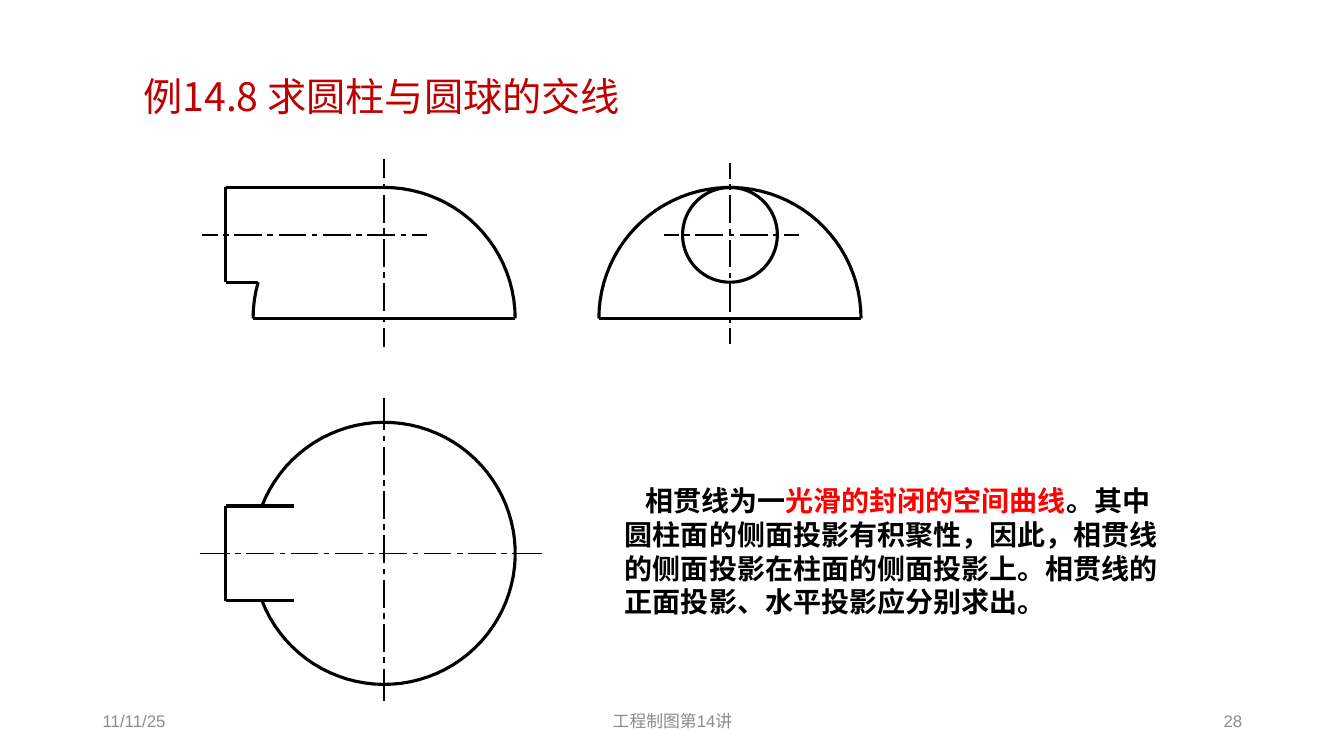
from math import asin, cos, degrees, radians, sin, sqrt

from lxml.etree import SubElement
from pptx import Presentation
from pptx.dml.color import RGBColor
from pptx.enum.shapes import MSO_CONNECTOR as Connector, MSO_SHAPE as Shape
from pptx.enum.text import MSO_ANCHOR as Anchor, PP_ALIGN as Align
from pptx.oxml.ns import qn
from pptx.util import Inches, Pt

BLACK = RGBColor(0x00, 0x00, 0x00)
RED = RGBColor(0xFF, 0x00, 0x00)
DARK_RED = RGBColor(0xC0, 0x00, 0x00)
GRAY = RGBColor(0x8C, 0x8C, 0x8C)
CJK_FONT = "Noto Sans CJK SC"
OUTLINE, THIN = Pt(2.25), Pt(1)

AXIS_X, SIDE_X = 3.81, 7.24
BASE_Y, PLAN_Y, BORE_Y = 3.16, 5.49, 2.33
SPHERE_R, BORE_R = 1.3, 0.47
CYLINDER_LEFT = 2.24
GAP, DOT, DASH = 0.055, 0.055, 0.275
PERIOD = DASH + DOT + 2 * GAP


def add_line(page, start, end, width=OUTLINE):
    line = page.shapes.add_connector(
        Connector.STRAIGHT, *(Inches(value) for value in (*start, *end)))
    line.line.color.rgb = BLACK
    line.line.width = width
    SubElement(line._element.spPr, qn("a:effectLst"))


def add_centre_line(page, start, end, dots):
    length = abs(end[0] - start[0]) + abs(end[1] - start[1])
    first = (length - dots * PERIOD + DASH) / 2
    pieces, left = [], 0
    for index in range(dots):
        dot = first + GAP + index * PERIOD
        pieces += [(left, dot - GAP), (dot, dot + DOT)]
        left = dot + DOT + GAP
    pieces.append((left, length))

    def point(distance):
        return [a + (b - a) * distance / length for a, b in zip(start, end)]

    for begin, finish in pieces:
        add_line(page, point(begin), point(finish), THIN)


def style_outline(shape):
    shape.fill.background()
    shape.line.color.rgb = BLACK
    shape.line.width = OUTLINE
    shape.shadow.inherit = False


def add_arc(page, centre, first_angle, last_angle):
    steps = max(4, round(abs(last_angle - first_angle) / 4))
    angles = [radians(first_angle + (last_angle - first_angle) * step / steps)
              for step in range(steps + 1)]
    points = [(Inches(centre[0] + SPHERE_R * cos(angle)),
               Inches(centre[1] - SPHERE_R * sin(angle))) for angle in angles]
    builder = page.shapes.build_freeform(*points[0])
    builder.add_line_segments(points[1:], close=False)
    style_outline(builder.convert_to_shape())


def add_circle(page, centre, radius):
    style_outline(page.shapes.add_shape(
        Shape.OVAL, Inches(centre[0] - radius), Inches(centre[1] - radius),
        Inches(2 * radius), Inches(2 * radius)))


def format_span(span, size, font, color, bold=False):
    span.font.size = Pt(size)
    span.font.name = font
    span.font.bold = bold
    span.font.color.rgb = color
    east_asian = CJK_FONT if font == "Arial" else font
    SubElement(span._r.get_or_add_rPr(), qn("a:ea")).set("typeface", east_asian)


def add_title(page, text):
    title = page.shapes.title
    title.left, title.top, title.width, title.height = (
        Inches(value) for value in (0.92, 0.74, 5.73, 0.42))
    title.text_frame.text = text
    title.text_frame.vertical_anchor = Anchor.MIDDLE
    para = title.text_frame.paragraphs[0]
    para.alignment = Align.CENTER
    format_span(para.runs[0], 28, CJK_FONT, DARK_RED)


def add_box(page, left, top, width, height):
    box = page.shapes.add_textbox(*(Inches(v) for v in (left, top, width, height)))
    box.text_frame.word_wrap = True
    return box.text_frame


def add_footer(page, text, left, width, alignment):
    frame = add_box(page, left, 6.95, width, 0.4)
    frame.vertical_anchor = Anchor.MIDDLE
    frame.text = text
    para = frame.paragraphs[0]
    para.alignment = alignment
    format_span(para.runs[0], 12, "Arial", GRAY)


def add_explanation(page, parts):
    frame = add_box(page, 6.1, 4.6, 5.64, 1.65)
    frame.margin_top = Inches(0.2)
    para = frame.paragraphs[0]
    para.line_spacing = Pt(24)
    para._p.get_or_add_pPr().set("indent", str(Inches(0.2)))
    for text, color in parts:
        span = para.add_run()
        span.text = text
        format_span(span, 20, CJK_FONT, color, bold=True)


def draw_front_view(page):
    top, bottom = BORE_Y - BORE_R, BORE_Y + BORE_R
    rise = BASE_Y - bottom
    corner_x = AXIS_X - sqrt(SPHERE_R ** 2 - rise ** 2)
    add_line(page, (AXIS_X - SPHERE_R, BASE_Y), (AXIS_X + SPHERE_R, BASE_Y))
    add_line(page, (CYLINDER_LEFT, top), (CYLINDER_LEFT, bottom))
    add_line(page, (CYLINDER_LEFT, top), (AXIS_X, top))
    add_line(page, (CYLINDER_LEFT, bottom), (corner_x, bottom))
    add_arc(page, (AXIS_X, BASE_Y), 180 - degrees(asin(rise / SPHERE_R)), 180)
    add_arc(page, (AXIS_X, BASE_Y), 0, 90)
    add_centre_line(page, (AXIS_X, 3.44), (AXIS_X, 1.58), 4)
    add_centre_line(page, (2, BORE_Y), (4.24, BORE_Y), 5)


def draw_side_view(page):
    add_line(page, (SIDE_X - SPHERE_R, BASE_Y), (SIDE_X + SPHERE_R, BASE_Y))
    add_arc(page, (SIDE_X, BASE_Y), 0, 180)
    add_circle(page, (SIDE_X, BORE_Y), BORE_R)
    add_centre_line(page, (SIDE_X, 3.41), (SIDE_X, 1.62), 4)
    add_centre_line(page, (6.59, BORE_Y), (7.92, BORE_Y), 3)


def draw_plan_view(page):
    opening = degrees(asin(BORE_R / SPHERE_R))
    add_arc(page, (AXIS_X, PLAN_Y), opening - 180, 180 - opening)
    top, bottom = PLAN_Y - BORE_R, PLAN_Y + BORE_R
    add_line(page, (CYLINDER_LEFT, top), (CYLINDER_LEFT, bottom))
    for edge in (top, bottom):
        add_line(page, (CYLINDER_LEFT, edge), (2.92, edge))
    add_centre_line(page, (1.98, PLAN_Y), (5.38, PLAN_Y), 7)
    add_centre_line(page, (AXIS_X, 3.95), (AXIS_X, 6.95), 6)


def main():
    deck = Presentation()
    deck.slide_width, deck.slide_height = Inches(13.33), Inches(7.5)
    page = deck.slides.add_slide(deck.slide_layouts[5])
    add_title(page, "例14.8 求圆柱与圆球的交线")
    draw_front_view(page)
    draw_side_view(page)
    draw_plan_view(page)
    add_explanation(page, [
        ("相贯线为一", BLACK),
        ("光滑的封闭的空间曲线", RED),
        ("。其中圆柱面的侧面投影有积聚性，因此，相贯线的侧面投影在柱面的侧面投影上。"
         "相贯线的正面投影、水平投影应分别求出。", BLACK),
    ])
    add_footer(page, "11/11/25", 0.92, 3, Align.LEFT)
    add_footer(page, "工程制图第14讲", 4.42, 4.5, Align.CENTER)
    add_footer(page, "28", 9.42, 3, Align.RIGHT)
    deck.save("out.pptx")


if __name__ == "__main__":
    main()
